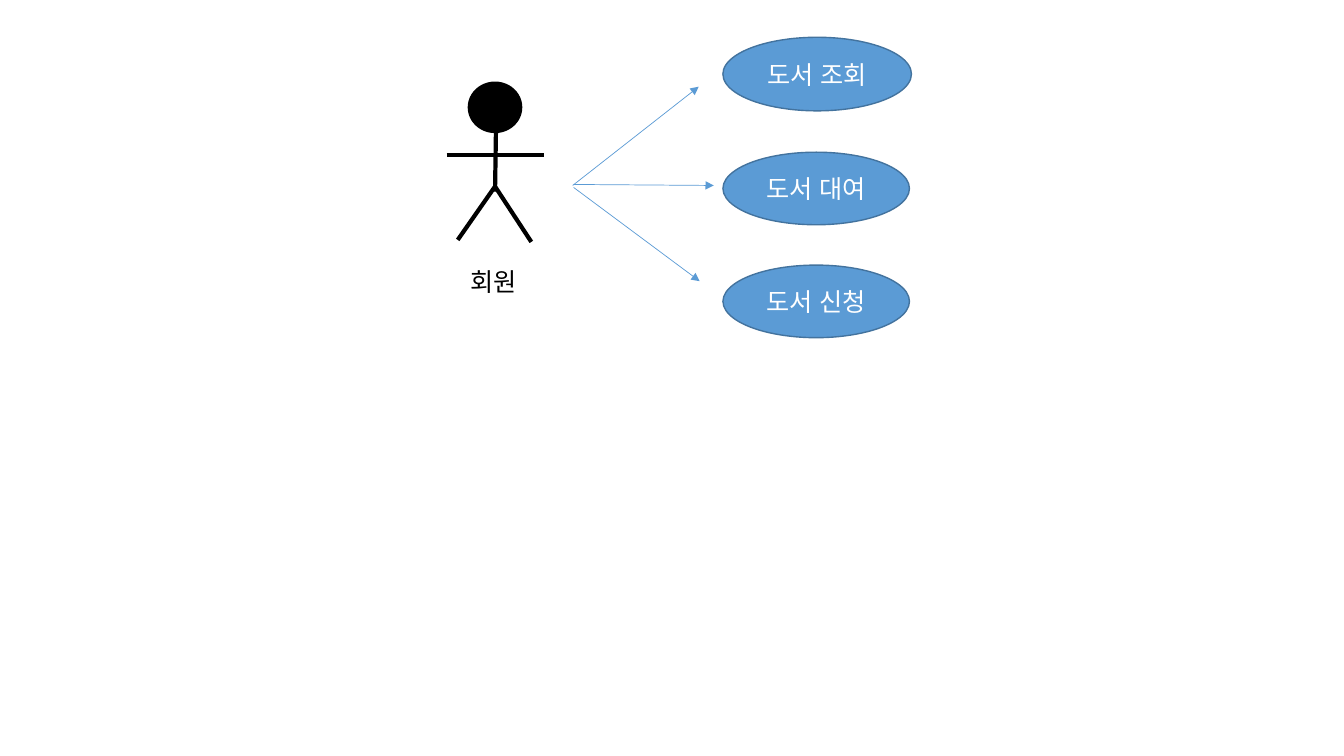
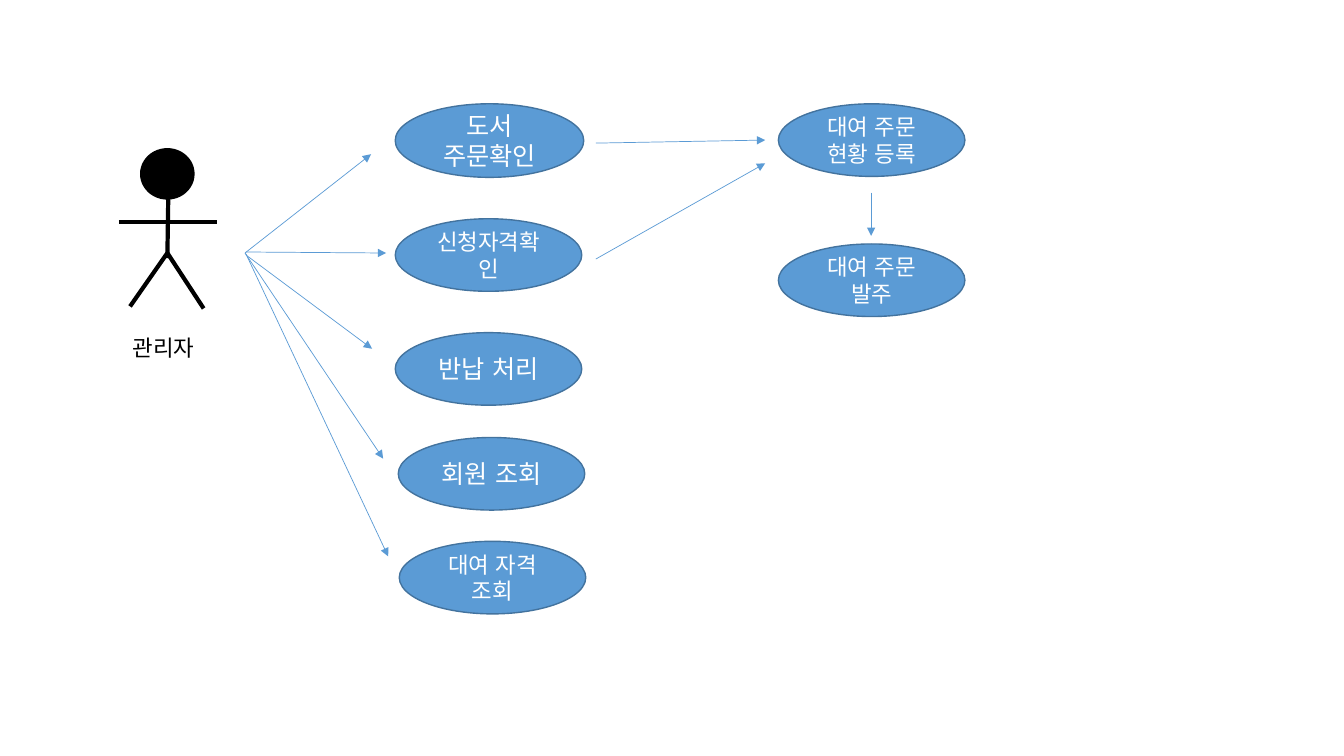
from pptx import Presentation, util as u
from pptx.dml.color import RGBColor
from pptx.enum import lang, shapes, text
from pptx.oxml.ns import qn
from lxml import etree

PX = 9144  # EMU; 100 px to the inch
FONT = "Noto Sans CJK KR"
BLUE = RGBColor(0x5B, 0x9B, 0xD5)
EDGE = RGBColor(0x43, 0x73, 0x9E)
BLACK = RGBColor(0, 0, 0)
WHITE = RGBColor(255, 255, 255)

LEAD_SIZE = (187, 73)   # first use case of each list
CASE_SIZE = (185, 72)
HEAD_SIZE = (50, 47)
# Limbs as start and end, measured from the head's top left corner
LIMBS = [
    ((-23, 71), (74, 71)),
    ((26, 41), (25, 107)),
    ((25, 102), (61, 157)),
    ((25, 102), (-12, 155)),
]

# Use case: lines, left, top, size, points
# Arrow: start, end
PAGES = [
    dict(
        actor=dict(head=(466, 83), name="회원", label=(457, 259, 83, 40), points=18),
        cases=[
            (["도서 조회"], 717, 37, LEAD_SIZE, 18),
            (["도서 대여"], 717, 151, CASE_SIZE, 18),
            (["도서 신청"], 717, 263, CASE_SIZE, 18),
        ],
        arrows=[
            ((568, 184), (693, 86)),
            ((569, 183), (708, 184)),
            ((569, 186), (694, 279)),
        ],
    ),
    dict(
        actor=dict(head=(141, 149), name="관리자", label=(122, 327, 93, 37), points=16),
        cases=[
            (["도서 주문확인"], 392, 103, LEAD_SIZE, 18),
            (["신청자격확인"], 392, 217, CASE_SIZE, 16),
            (["반납 처리"], 392, 330, CASE_SIZE, 18),
            (["회원 조회"], 395, 434, CASE_SIZE, 18),
            (["대여 자격 조회"], 396, 537, CASE_SIZE, 16),
            (["대여 주문", "현황 등록"], 772, 103, CASE_SIZE, 16),
            (["대여 주문", "발주"], 772, 242, CASE_SIZE, 16),
        ],
        arrows=[
            ((243, 251), (368, 153)),
            ((244, 250), (383, 251)),
            ((244, 253), (369, 346)),
            ((243, 251), (380, 455)),
            ((244, 252), (385, 552)),
            ((591, 142), (759, 139)),
            ((591, 257), (759, 162)),
            ((864, 191), (864, 234)),
        ],
    ),
]


def emu(*lengths):
    return [u.Emu(length * PX) for length in lengths]


def write(shape, lines, *, points, color, align=None, anchor=text.MSO_ANCHOR.TOP):
    frame = shape.text_frame
    frame.word_wrap = True
    frame.vertical_anchor = anchor
    for number, line in enumerate(lines):
        para = frame.add_paragraph() if number else frame.paragraphs[0]
        para.alignment = align
        span = para.add_run()
        span.text = line
        font = span.font
        font.size, font.name, font.color.rgb = u.Pt(points), FONT, color
        font.language_id = lang.MSO_LANGUAGE_ID.KOREAN
        # Korean glyphs take the East Asian typeface
        latin = span._r.rPr.find(qn("a:latin"))
        east_asian = etree.Element(qn("a:ea"), typeface=FONT)
        latin.addnext(east_asian)


def add_ellipse(parent, left, top, size, fill, edge, weight):
    ellipse = parent.shapes.add_shape(
        shapes.MSO_SHAPE.OVAL, *emu(left, top, *size))
    ellipse.shadow.inherit = False
    ellipse.fill.solid()
    ellipse.fill.fore_color.rgb = fill
    ellipse.line.color.rgb = edge
    ellipse.line.width = u.Pt(weight)
    return ellipse


def add_line(parent, start, end, color, weight, arrow=False):
    line = parent.shapes.add_connector(
        shapes.MSO_CONNECTOR.STRAIGHT, *emu(*start, *end))
    line.line.color.rgb = color
    line.line.width = u.Pt(weight)
    if arrow:
        etree.SubElement(line.line._get_or_add_ln(), qn("a:tailEnd"), type="triangle")
    etree.SubElement(line._element.spPr, qn("a:effectLst"))


def add_actor(page, head, name, label, points):
    """Draw a stick figure with its name below, as one group."""
    group = page.shapes.add_group_shape()
    left, top = head
    add_ellipse(group, left, top, HEAD_SIZE, BLACK, BLACK, 3)
    for limb in LIMBS:
        start, end = [(left + x, top + y) for x, y in limb]
        add_line(group, start, end, BLACK, 3)
    box = group.shapes.add_textbox(*emu(*label))
    write(box, [name], points=points, color=BLACK)
    box.text_frame.auto_size = text.MSO_AUTO_SIZE.SHAPE_TO_FIT_TEXT


def main():
    deck = Presentation()
    deck.slide_width, deck.slide_height = emu(1333, 750)
    for content in PAGES:
        page = deck.slides.add_slide(deck.slide_layouts[6])
        for lines, left, top, size, points in content["cases"]:
            case = add_ellipse(page, left, top, size, BLUE, EDGE, 1)
            write(case, lines, points=points, color=WHITE,
                  align=text.PP_ALIGN.CENTER, anchor=text.MSO_ANCHOR.MIDDLE)
        add_actor(page, **content["actor"])
        for start, end in content["arrows"]:
            add_line(page, start, end, BLUE, 0.5, arrow=True)
    deck.save("out.pptx")


if __name__ == "__main__":
    main()
